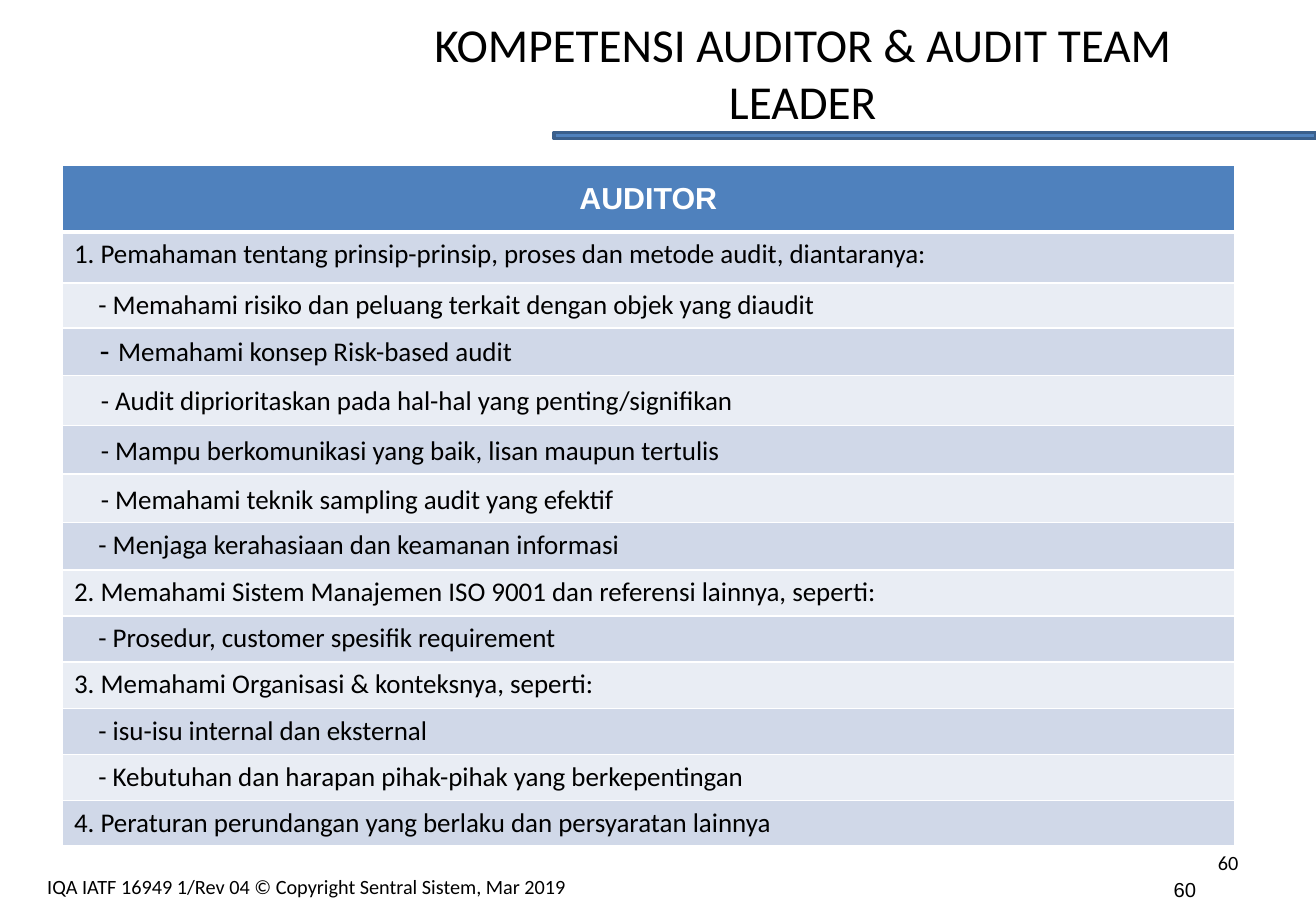
from lxml import etree
from pptx import Presentation
from pptx.dml.color import RGBColor
from pptx.enum.shapes import MSO_SHAPE
from pptx.enum.text import MSO_ANCHOR, PP_ALIGN
from pptx.oxml.ns import qn
from pptx.util import Inches, Pt

RECTANGLE = MSO_SHAPE.RECTANGLE
TOP, MIDDLE = MSO_ANCHOR.TOP, MSO_ANCHOR.MIDDLE
LEFT, CENTER, RIGHT = PP_ALIGN.LEFT, PP_ALIGN.CENTER, PP_ALIGN.RIGHT
BLUE, BANDS = "4F81BD", ("E9EDF4", "D0D8E8")


def color(value):
    return RGBColor.from_string(value)


def add_run(paragraph, text, size, name="Calibri", shade="000000", bold=False):
    run = paragraph.add_run()
    run.text = text
    font_format = {"size": Pt(size), "name": name, "bold": bold}
    for attribute, value in font_format.items():
        setattr(run.font, attribute, value)
    run.font.color.rgb = color(shade)


presentation = Presentation()
presentation.slide_width = Inches(10.83)
presentation.slide_height = Inches(7.5)
slide = presentation.slides.add_slide(presentation.slide_layouts[6])

# Competency table: text, row height, indent, top margin
rows = [
    ("AUDITOR", 0.55, 0, 0.05),
    ("1. Pemahaman tentang prinsip-prinsip, proses dan metode audit, diantaranya:", 0.42, 0, 0.05),
    ("- Memahami risiko dan peluang terkait dengan objek yang diaudit", 0.37, 0.2, 0.05),
    ("- Memahami konsep Risk-based audit", 0.39, 0.21, 0.05),
    ("- Audit diprioritaskan pada hal-hal yang penting/signifikan", 0.41, 0.22, 0.08),
    ("- Mampu berkomunikasi yang baik, lisan maupun tertulis", 0.4, 0.22, 0.08),
    ("- Memahami teknik sampling audit yang efektif", 0.4, 0.22, 0.08),
    ("- Menjaga kerahasiaan dan keamanan informasi", 0.39, 0.2, 0.05),
    ("2. Memahami Sistem Manajemen ISO 9001 dan referensi lainnya, seperti:", 0.38, 0, 0.05),
    ("- Prosedur, customer spesifik requirement", 0.38, 0.2, 0.05),
    ("3. Memahami Organisasi & konteksnya, seperti:", 0.38, 0, 0.05),
    ("- isu-isu internal dan eksternal", 0.38, 0.2, 0.05),
    ("- Kebutuhan dan harapan pihak-pihak yang berkepentingan", 0.38, 0.2, 0.05),
    ("4. Peraturan perundangan yang berlaku dan persyaratan lainnya", 0.37, 0, 0.05),
]
table_height = sum(height for _, height, _, _ in rows)
table = slide.shapes.add_table(
    len(rows), 1, Inches(0.51), Inches(1.36), Inches(9.65), Inches(table_height)
).table
for index, (text, height, indent, margin_top) in enumerate(rows):
    is_header = index == 0
    table.rows[index].height = Inches(height)
    cell = table.cell(index, 0)
    cell_format = {
        "margin_left": Inches(0.1 + indent),
        "margin_top": Inches(margin_top),
        "margin_bottom": Inches(0.1 - margin_top),
        "vertical_anchor": MIDDLE if is_header else TOP,
    }
    for attribute, value in cell_format.items():
        setattr(cell, attribute, value)
    cell.fill.solid()
    cell.fill.fore_color.rgb = color(BLUE if is_header else BANDS[index % 2])

    paragraph = cell.text_frame.paragraphs[0]
    paragraph.alignment = CENTER if is_header else LEFT
    if is_header:
        add_run(paragraph, text, 18, "Arial", "FFFFFF", True)
    elif "Risk-based" in text:
        add_run(paragraph, text[:2], 18, "Arial")
        add_run(paragraph, text[2:], 16)
    else:
        add_run(paragraph, text, 16)

    # White cell borders, thicker below the header
    widths = {
        "a:lnL": 1,
        "a:lnR": 1,
        "a:lnT": 3 if index == 1 else 1,
        "a:lnB": 3 if is_header else 1,
    }
    properties = cell._tc.get_or_add_tcPr()
    for position, (tag, width) in enumerate(widths.items()):
        border = etree.Element(qn(tag), w=str(Pt(width)))
        fill = etree.SubElement(border, qn("a:solidFill"))
        etree.SubElement(fill, qn("a:srgbClr"), val="FFFFFF")
        properties.insert(position, border)

# Rule under the title
rule = slide.shapes.add_shape(
    RECTANGLE, Inches(4.56), Inches(1.09), Inches(6.27), Inches(0.05)
)
rule.shadow.inherit = False
rule.fill.solid()
rule.fill.fore_color.rgb = color(BLUE)
rule.line.color.rgb = color("3A5F8C")
rule.line.width = Pt(2)

# Title, page numbers and footer
texts = [
    ("KOMPETENSI AUDITOR & AUDIT TEAM LEADER", (2.83, -0.03, 7.55, 1.25), 28, "Calibri", CENTER, MIDDLE),
    ("60", (7.76, 6.95, 2.53, 0.4), 12, "Calibri", RIGHT, TOP),
    ("60", (9.56, 7.17, 1.27, 0.33), 12, "Arial", LEFT, TOP),
    ("IQA IATF 16949 1/Rev 04 © Copyright Sentral Sistem, Mar 2019", (0.29, 7.15, 5.99, 0.35), 12, "Calibri", LEFT, TOP),
]
for text, box, size, name, alignment, anchor in texts:
    shape = slide.shapes.add_textbox(*(Inches(length) for length in box))
    shape.text_frame.word_wrap = True
    shape.text_frame.vertical_anchor = anchor
    paragraph = shape.text_frame.paragraphs[0]
    paragraph.alignment = alignment
    add_run(paragraph, text, size, name)

presentation.save("out.pptx")
